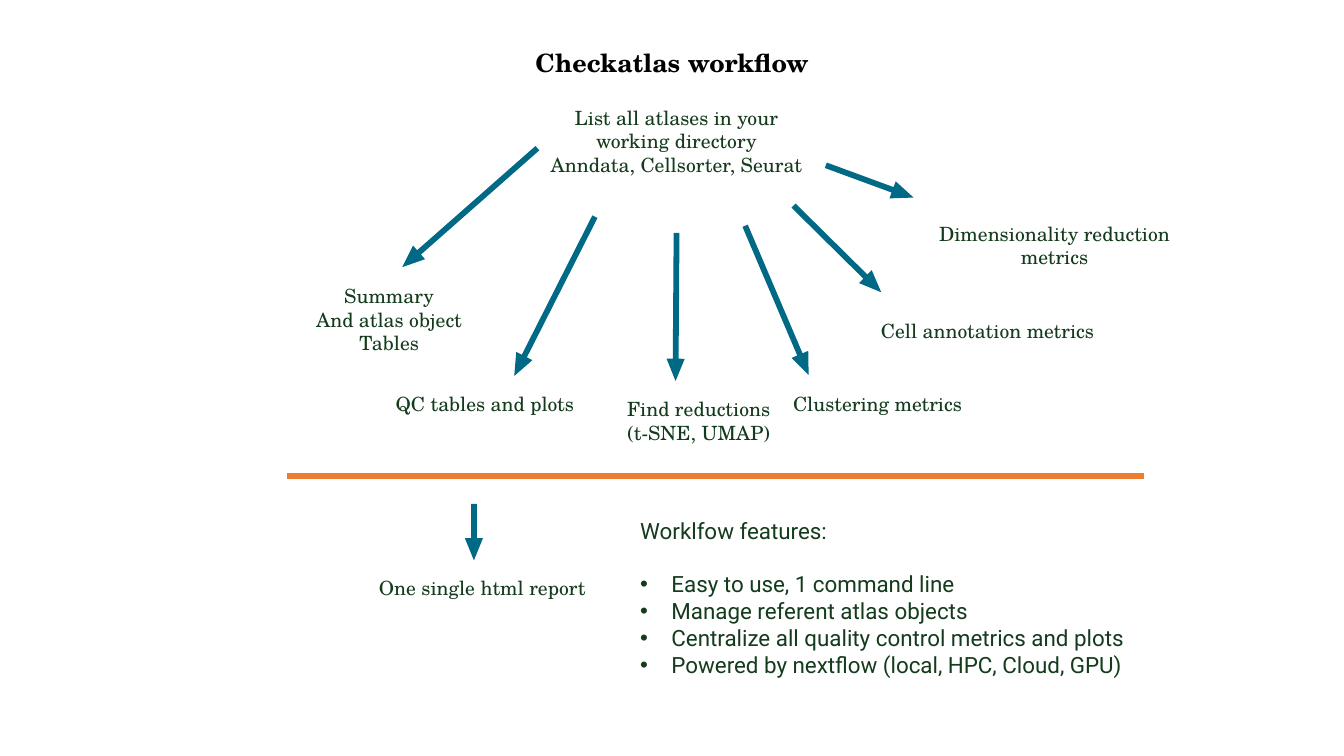
from math import atan2, degrees, hypot

from lxml.etree import SubElement
from pptx import Presentation
from pptx.dml.color import RGBColor
from pptx.enum.shapes import MSO_CONNECTOR as Connector, MSO_SHAPE as Shape
from pptx.enum.text import PP_ALIGN as Align
from pptx.oxml.ns import qn
from pptx.util import Inches, Pt

COLORS = {"title": "000000", "text": "143B1C", "arrow": "006986", "divider": "ED7D31"}
SERIF, SANS = "TeX Gyre Schola", "Roboto"

# Content: box (left, top, width, height) in inches, then its lines
TITLE = ((4.89, 0.41, 3.55, 0.56), ["Checkatlas workflow"])
STEPS = [
    ((5.27, 0.99, 2.88, 0.85),
     ["List all atlases in your working directory", "Anndata, Cellsorter, Seurat"]),
    ((2.96, 2.76, 1.8, 1.34), ["Summary", "And atlas object", "Tables"]),
    ((3.48, 3.83, 2.66, 0.55), ["QC tables and plots"]),
    ((5.84, 3.88, 2.18, 1.17), ["Find reductions", "(t-SNE, UMAP)"]),
    ((7.67, 3.83, 2.07, 0.53), ["Clustering metrics"]),
    ((8.67, 3.1, 2.25, 0.79), ["Cell annotation metrics"]),
    ((9.02, 2.14, 2.88, 1.16), ["Dimensionality reduction", "metrics"]),
    ((3.62, 5.65, 2.33, 0.55), ["One single html report"]),
]
FEATURES = ((6.29, 5.07, 5.61, 1.88), [
    "Worklfow features:",
    "Easy to use, 1 command line",
    "Manage referent atlas objects",
    "Centralize all quality control metrics and plots",
    "Powered by nextflow (local, HPC, Cloud, GPU)",
])

# Arrows: tail and tip (x, y) in inches
ARROWS = [
    ((5.33, 1.47), (3.99, 2.65)),
    ((5.90, 2.15), (5.10, 3.73)),
    ((6.71, 2.31), (6.70, 3.78)),
    ((7.39, 2.24), (8.02, 3.72)),
    ((7.87, 2.04), (8.74, 2.90)),
    ((8.19, 1.64), (9.06, 1.96)),
    ((4.70, 5.00), (4.70, 5.56)),
]
ARROW_WIDTH = 0.18
DIVIDER_LEFT, DIVIDER_RIGHT, DIVIDER_Y = 2.85, 11.35, 4.72

deck = Presentation()
deck.slide_width, deck.slide_height = Inches(13.33), Inches(7.5)
slide = deck.slides.add_slide(deck.slide_layouts[6])


def color(name):
    return RGBColor.from_string(COLORS[name])


def add_bullet(paragraph):
    props = paragraph._p.get_or_add_pPr()
    props.set("marL", str(Inches(0.31)))
    props.set("indent", str(Inches(-0.31)))
    SubElement(props, qn("a:buFont")).set("typeface", "Arial")
    SubElement(props, qn("a:buChar")).set("char", "•")


def add_text(box, lines, size=14, font=SERIF, tint="text", align=Align.CENTER,
             bold=False, bulleted=False):
    frame = slide.shapes.add_textbox(*map(Inches, box)).text_frame
    frame.word_wrap = True
    frame.margin_left = frame.margin_right = Inches(0.06)
    frame.margin_top = frame.margin_bottom = Inches(0.06)
    frame.text = "\n".join(lines)
    for number, paragraph in enumerate(frame.paragraphs):
        paragraph.alignment = align
        if bulleted and number == 1:
            paragraph.space_before = Pt(19)
        if bulleted and number > 0:
            add_bullet(paragraph)
        for run in paragraph.runs:
            run.font.name, run.font.size, run.font.bold = font, Pt(size), bold
            run.font.color.rgb = color(tint)


def add_arrow(tail, tip):
    dx, dy = tip[0] - tail[0], tip[1] - tail[1]
    length = hypot(dx, dy)
    left = (tail[0] + tip[0] - length) / 2
    top = (tail[1] + tip[1] - ARROW_WIDTH) / 2
    arrow = slide.shapes.add_shape(
        Shape.RIGHT_ARROW, *map(Inches, (left, top, length, ARROW_WIDTH)))
    arrow.rotation = degrees(atan2(dy, dx))
    arrow.adjustments[0], arrow.adjustments[1] = 0.32, 1.228
    arrow.shadow.inherit = False
    arrow.fill.solid()
    arrow.fill.fore_color.rgb = color("arrow")
    arrow.line.fill.background()


# Title, steps and features
add_text(*TITLE, size=18, tint="title", bold=True)
for box, lines in STEPS:
    add_text(box, lines)
add_text(*FEATURES, size=16, font=SANS, align=Align.LEFT, bulleted=True)

# Arrows between the steps
for tail, tip in ARROWS:
    add_arrow(tail, tip)

# Divider above the report
divider = slide.shapes.add_connector(
    Connector.STRAIGHT,
    *map(Inches, (DIVIDER_LEFT, DIVIDER_Y, DIVIDER_RIGHT, DIVIDER_Y)))
divider.line.color.rgb = color("divider")
divider.line.width = Pt(4.5)
SubElement(divider._element.spPr, qn("a:effectLst"))

deck.save("out.pptx")
